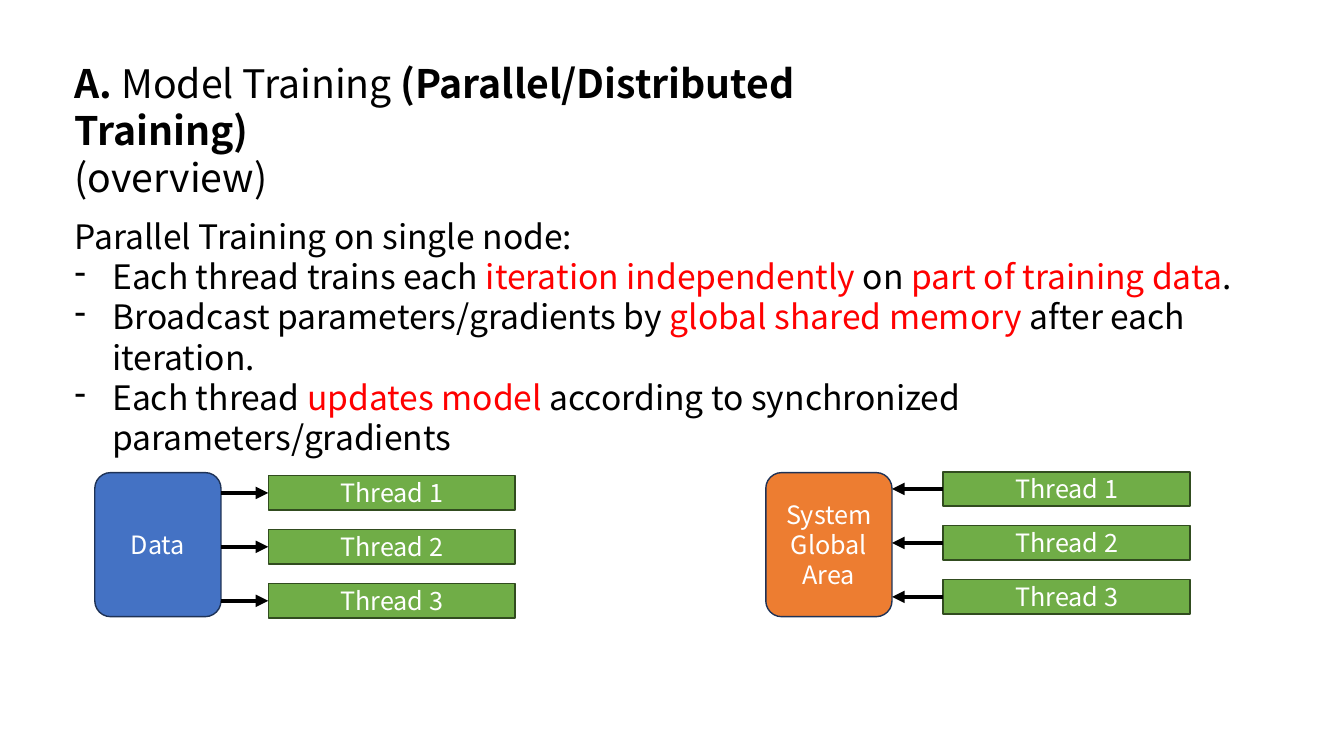
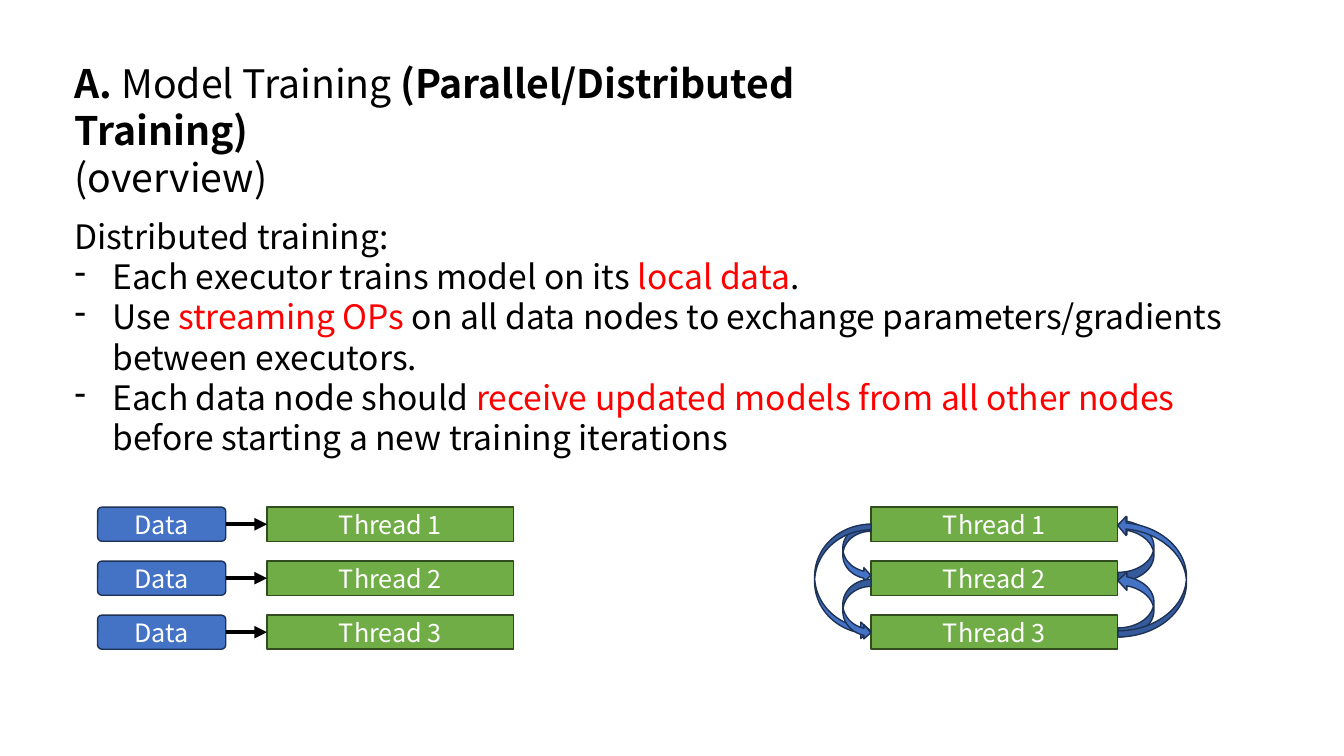
from lxml import etree
from pptx import Presentation
from pptx.dml.color import RGBColor
from pptx.enum.shapes import MSO_CONNECTOR, MSO_SHAPE
from pptx.enum.text import MSO_ANCHOR, MSO_AUTO_SIZE, PP_ALIGN
from pptx.oxml.ns import qn
from pptx.util import Cm, Pt

RECT = MSO_SHAPE.RECTANGLE
ROUND = MSO_SHAPE.ROUNDED_RECTANGLE
CURVED = MSO_SHAPE.CURVED_RIGHT_ARROW
STRAIGHT = MSO_CONNECTOR.STRAIGHT
TOP, MIDDLE = MSO_ANCHOR.TOP, MSO_ANCHOR.MIDDLE
LEFT, CENTER = PP_ALIGN.LEFT, PP_ALIGN.CENTER
NO_FIT = MSO_AUTO_SIZE.NONE

BLACK = RGBColor(0x00, 0x00, 0x00)
WHITE = RGBColor(0xFF, 0xFF, 0xFF)
RED = RGBColor(0xFF, 0x00, 0x00)
BLUE = RGBColor(0x44, 0x72, 0xC4)
NAVY = RGBColor(0x1E, 0x32, 0x56)
GREEN = RGBColor(0x70, 0xAD, 0x47)
DARK_GREEN = RGBColor(0x31, 0x4C, 0x1F)
ORANGE = RGBColor(0xED, 0x7D, 0x31)

FONT = "Noto Sans CJK SC"
TITLE_FONT = {"name": FONT, "size": Pt(28)}
BODY_FONT = {"name": FONT, "size": Pt(24)}
LABEL_FONT = {"name": FONT, "size": Pt(18)}

TITLE = [
    [("A. ", True), ("Model Training ", False), ("(Parallel/Distributed Training)", True)],
    [("(overview)", False)],
]
PARALLEL = [
    ["Parallel Training on single node:"],
    ["Each thread trains each ", "iteration independently", " on ",
     "part of training data", "."],
    ["Broadcast parameters/gradients by ", "global shared memory", " after each iteration."],
    ["Each thread ", "updates model", " according to synchronized parameters/gradients"],
]
DISTRIBUTED = [
    ["Distributed training:"],
    ["Each executor trains model on its ", "local data", "."],
    ["Use ", "streaming OPs ",
     "on all data nodes to exchange parameters/gradients between executors."],
    ["Each data node should ", "receive updated models from all other nodes ",
     "before starting a new training iterations"],
]
THREADS = ["Thread 1", "Thread 2", "Thread 3"]

TEXT_X = 1.63
THREAD_W, THREAD_H, THREAD_PITCH = 6.22, 0.86, 1.36
STORE_Y, STORE_W, STORE_H = 11.91, 3.18, 3.63
EXCHANGE_X, EXCHANGE_Y = 21.95, 12.78

SEND_ARROWS = [
    (13.21, 0.71, 1.47, None),
    (13.21, 1.42, 2.9, (0.1, 0.29, 0.18)),
    (14.6, 0.71, 1.52, None),
]
RETURN_ARROWS = [
    (13.0, 0.91, 1.65, None),
    (14.4, 0.91, 1.65, None),
    (13.0, 1.73, 3.05, (0.09, 0.28, 0.12)),
]


def set_font(font, values, color):
    for name, value in values.items():
        setattr(font, name, value)
    font.color.rgb = color


def add_run(p, text, values, color):
    r = p.add_run()
    r.text = text
    set_font(r.font, values, color)


def paragraphs(tf, rows):
    for i, row in enumerate(rows):
        yield (tf.add_paragraph() if i else tf.paragraphs[0]), row


def set_dash(p):
    p_pr = p._p.get_or_add_pPr()
    p_pr.set("marL", str(Cm(0.95)))
    p_pr.set("indent", str(-Cm(0.95)))
    etree.SubElement(p_pr, qn("a:buChar")).set("char", "-")


def add_title(s):
    sp = s.shapes.title
    sp.left, sp.top, sp.width, sp.height = Cm(TEXT_X), Cm(1.37), Cm(21.54), Cm(2.64)
    tf = sp.text_frame
    tf.word_wrap, tf.auto_size, tf.vertical_anchor = True, NO_FIT, TOP
    for p, row in paragraphs(tf, TITLE):
        p.alignment = LEFT
        for text, bold in row:
            add_run(p, text, {**TITLE_FONT, "bold": bold}, BLACK)


def add_body(s, rows):
    sp = s.shapes.add_textbox(Cm(TEXT_X), Cm(5.31), Cm(30.05), Cm(6.4))
    tf = sp.text_frame
    tf.word_wrap = True
    for i, (p, row) in enumerate(paragraphs(tf, rows)):
        if i:
            set_dash(p)
        for j, text in enumerate(row):
            add_run(p, text, BODY_FONT, RED if j % 2 else BLACK)


def add_block(s, kind, x, y, w, h, fill, line, text="", adjustments=None):
    sp = s.shapes.add_shape(kind, Cm(x), Cm(y), Cm(w), Cm(h))
    sp.shadow.inherit = False
    sp.fill.solid()
    sp.fill.fore_color.rgb = fill
    sp.line.color.rgb = line
    sp.line.width = Pt(1)
    for i, value in enumerate(adjustments or ()):
        sp.adjustments[i] = value
    if text:
        tf = sp.text_frame
        tf.text = text
        tf.vertical_anchor = MIDDLE
        for p in tf.paragraphs:
            p.alignment = CENTER
            set_font(p.runs[0].font, LABEL_FONT, WHITE)
    return sp


def add_store(s, x, y, w, h, fill, text):
    add_block(s, ROUND, x, y, w, h, fill, NAVY, text, (0.125,))


def row_tops(y):
    return [y + i * THREAD_PITCH for i in range(len(THREADS))]


def add_threads(s, x, y):
    for text, top in zip(THREADS, row_tops(y)):
        add_block(s, RECT, x, top, THREAD_W, THREAD_H, GREEN, DARK_GREEN, text)


def add_arrows(s, x1, x2, y):
    for top in row_tops(y):
        mid = Cm(top + THREAD_H / 2)
        line = s.shapes.add_connector(STRAIGHT, Cm(x1), mid, Cm(x2), mid)
        line.line.color.rgb = BLACK
        line.line.width = Pt(3)
        ln = line.line._get_or_add_ln()
        etree.SubElement(ln, qn("a:tailEnd")).set("type", "triangle")
        etree.SubElement(line._element.spPr, qn("a:effectLst"))


def add_slide(prs, body):
    s = prs.slides.add_slide(prs.slide_layouts[5])
    add_title(s)
    add_body(s, body)
    return s


def build_parallel(prs):
    s = add_slide(prs, PARALLEL)
    data_x, area_x = 2.39, 19.3
    left_x, left_y = 6.76, 11.99
    right_x, right_y = 23.77, 11.89
    add_store(s, data_x, STORE_Y, STORE_W, STORE_H, BLUE, "Data")
    add_threads(s, left_x, left_y)
    add_arrows(s, data_x + STORE_W, left_x, left_y)
    add_store(s, area_x, STORE_Y, STORE_W, STORE_H, ORANGE, "System\nGlobal\nArea")
    add_threads(s, right_x, right_y)
    add_arrows(s, right_x, area_x + STORE_W, right_y)


def build_distributed(prs):
    s = add_slide(prs, DISTRIBUTED)
    data_x, data_w, thread_x = 2.46, 3.23, 6.73
    for top in row_tops(EXCHANGE_Y):
        add_store(s, data_x, top, data_w, THREAD_H, BLUE, "Data")
    add_threads(s, thread_x, EXCHANGE_Y)
    add_arrows(s, data_x + data_w, thread_x, EXCHANGE_Y)
    add_threads(s, EXCHANGE_X, EXCHANGE_Y)
    for y, w, h, adjustments in SEND_ARROWS:
        add_block(s, CURVED, EXCHANGE_X - w, y, w, h, BLUE, NAVY, adjustments=adjustments)
    for y, w, h, adjustments in RETURN_ARROWS:
        sp = add_block(s, CURVED, EXCHANGE_X + THREAD_W, y, w, h, BLUE, NAVY,
                       adjustments=adjustments)
        sp.rotation = 180


def main():
    prs = Presentation()
    prs.slide_width, prs.slide_height = Cm(33.87), Cm(19.05)
    build_parallel(prs)
    build_distributed(prs)
    prs.save("out.pptx")


if __name__ == "__main__":
    main()
